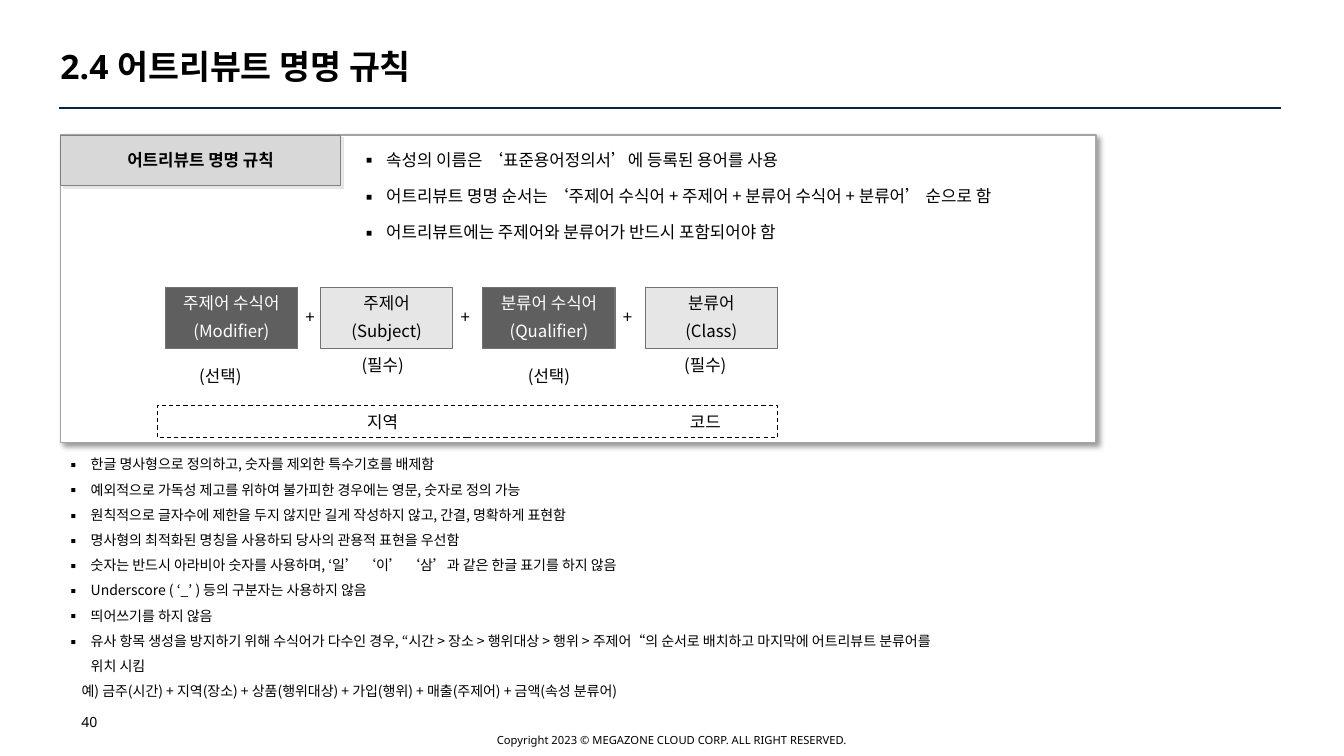
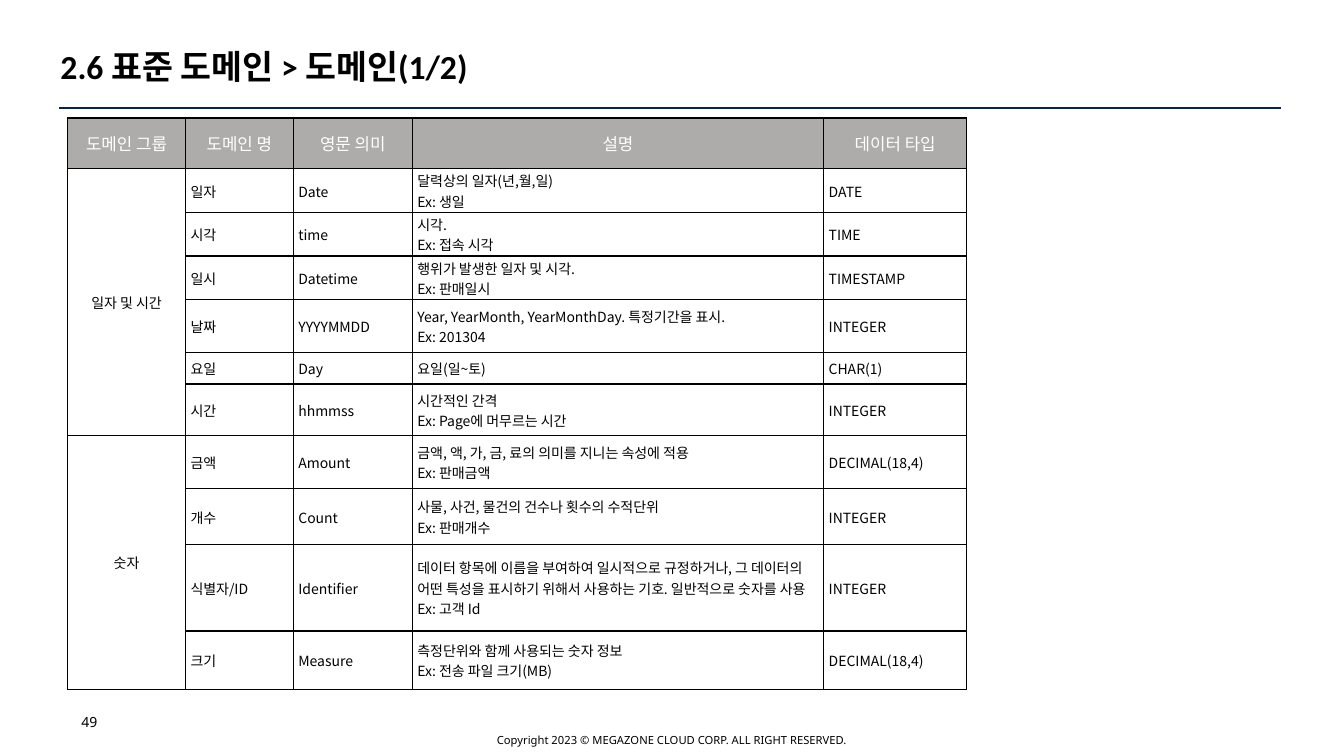
import pptx
import pptx.dml.color
import pptx.enum.dml
import pptx.enum.shapes
import pptx.enum.text
import pptx.oxml
import pptx.oxml.ns
import pptx.util
from pptx.util import Inches

COLORS = {
    "text": "000000", "white": "FFFFFF", "rule": "0A2342",
    "panel_line": "A5A5A5", "label": "D8D8D8", "label_line": "808080",
    "label_shadow": "E7E6E6", "dark": "5F5F5F", "light": "E7E6E6",
    "term_line": "727272", "header": "AEABAB",
}
KOREAN = "Noto Sans CJK KR"
LATIN = "Noto Sans"
COPYRIGHT = "Copyright 2023 © MEGAZONE CLOUD CORP. ALL RIGHT RESERVED."
ALIGN = pptx.enum.text.PP_ALIGN
ANCHOR = pptx.enum.text.MSO_ANCHOR

PANEL_RULES = [
    "속성의 이름은 ‘표준용어정의서’에 등록된 용어를 사용",
    "어트리뷰트 명명 순서는 ‘주제어 수식어 + 주제어 + 분류어 수식어 + 분류어’ 순으로 함",
    "어트리뷰트에는 주제어와 분류어가 반드시 포함되어야 함",
]
DETAIL_RULES = [
    "한글 명사형으로 정의하고, 숫자를 제외한 특수기호를 배제함",
    "예외적으로 가독성 제고를 위하여 불가피한 경우에는 영문, 숫자로 정의 가능",
    "원칙적으로 글자수에 제한을 두지 않지만 길게 작성하지 않고, 간결, 명확하게 표현함",
    "명사형의 최적화된 명칭을 사용하되 당사의 관용적 표현을 우선함",
    "숫자는 반드시 아라비아 숫자를 사용하며, ‘일’ ‘이’ ‘삼’과 같은 한글 표기를 하지 않음",
    "Underscore ( ‘_’ ) 등의 구분자는 사용하지 않음",
    "띄어쓰기를 하지 않음",
    "유사 항목 생성을 방지하기 위해 수식어가 다수인 경우, “시간 > 장소 > 행위대상 > 행위 > "
    "주제어“의 순서로 배치하고 마지막에 어트리뷰트 분류어를 위치 시킴",
]
DETAIL_EXAMPLE = "예) 금주(시간) + 지역(장소) + 상품(행위대상) + 가입(행위) + 매출(주제어) + 금액(속성 분류어)"

# Term text, example, box left and note left, both from the panel's left edge
TERMS = [
    ("주제어 수식어\n(Modifier)", None, 1.04, 1.01),
    ("주제어\n(Subject)", "지역", 2.58, 2.62),
    ("분류어 수식어\n(Qualifier)", None, 4.19, 4.27),
    ("분류어\n(Class)", "코드", 5.8, 5.82),
]

COLUMN_WIDTHS = [1.17, 1.07, 1.18, 4.08, 1.42]
ROW_HEIGHTS = [0.5, 0.44, 0.43, 0.43, 0.53, 0.31, 0.51, 0.53, 0.55, 0.86, 0.58]
TABLE_HEADER = ["도메인 그룹", "도메인 명", "영문 의미", "설명", "데이터 타입"]
DOMAIN_GROUPS = {
    "일자 및 시간": [
        ("일자", "Date", "달력상의 일자(년,월,일)\nEx: 생일", "DATE"),
        ("시각", "time", "시각.\nEx: 접속 시각", "TIME"),
        ("일시", "Datetime", "행위가 발생한 일자 및 시각.\nEx: 판매일시", "TIMESTAMP"),
        ("날짜", "YYYYMMDD",
         "Year, YearMonth, YearMonthDay. 특정기간을 표시.\nEx: 201304", "INTEGER"),
        ("요일", "Day", "요일(일~토)", "CHAR(1)"),
        ("시간", "hhmmss", "시간적인 간격\nEx: Page에 머무르는 시간", "INTEGER"),
    ],
    "숫자": [
        ("금액", "Amount", "금액, 액, 가, 금, 료의 의미를 지니는 속성에 적용\nEx: 판매금액",
         "DECIMAL(18,4)"),
        ("개수", "Count", "사물, 사건, 물건의 건수나 횟수의 수적단위\nEx: 판매개수", "INTEGER"),
        ("식별자/ID", "Identifier",
         "데이터 항목에 이름을 부여하여 일시적으로 규정하거나, 그 데이터의 어떤 특성을 "
         "표시하기 위해서 사용하는 기호. 일반적으로 숫자를 사용\nEx: 고객 Id", "INTEGER"),
        ("크기", "Measure", "측정단위와 함께 사용되는 숫자 정보\nEx: 전송 파일 크기(MB)",
         "DECIMAL(18,4)"),
    ],
}


def rgb(name):
    return pptx.dml.color.RGBColor.from_string(COLORS[name])


def drawing_xml(xml):
    return pptx.oxml.parse_xml(xml.replace(">", f" {pptx.oxml.ns.nsdecls('a')}>", 1))


# Text helpers
def write(frame, text, size, color="text", font=KOREAN, bold=False, align=ALIGN.LEFT,
          anchor=ANCHOR.TOP, spacing=None, before=0, margins=(0.1, 0.05, 0.1, 0.05)):
    """Fill a text frame; spacing is in points, before applies after the first paragraph."""
    frame.text = text
    frame.word_wrap = True
    frame.auto_size = pptx.enum.text.MSO_AUTO_SIZE.NONE
    frame.vertical_anchor = anchor
    (frame.margin_left, frame.margin_top,
     frame.margin_right, frame.margin_bottom) = map(Inches, margins)
    format_paragraphs(frame, size, color, font, bold, align, spacing, before)


def format_paragraphs(frame, size, color, font, bold, align, spacing=None, before=0):
    for index, paragraph in enumerate(frame.paragraphs):
        paragraph.alignment = align
        paragraph.space_before = pptx.util.Pt(before if index else 0)
        if spacing:
            paragraph.line_spacing = pptx.util.Pt(spacing)
        for run in paragraph.runs:
            run.font.size = pptx.util.Pt(size)
            run.font.bold = bold
            run.font.color.rgb = rgb(color)
            run.font.name = font
            latin = run.font._element.find(pptx.oxml.ns.qn("a:latin"))
            latin.addnext(drawing_xml(f'<a:ea typeface="{KOREAN}"></a:ea>'))


def add_text(slide, box, text, size, **style):
    shape = slide.shapes.add_textbox(*map(Inches, box))
    write(shape.text_frame, text, size, **style)
    return shape


def place(shape, box):
    shape.left, shape.top, shape.width, shape.height = map(Inches, box)


def set_bullet(paragraph, bullet=True, indent=0.2):
    properties = paragraph._p.get_or_add_pPr()
    properties.set("marL", str(Inches(indent)))
    properties.set("indent", str(-Inches(indent) if bullet else 0))
    if bullet:
        parts = [f'<a:buClr><a:srgbClr val="{COLORS["text"]}"/></a:buClr>',
                 f'<a:buFont typeface="{LATIN}"></a:buFont>', '<a:buChar char="▪"></a:buChar>']
    else:
        parts = ["<a:buNone></a:buNone>"]
    for part in parts:
        properties.append(drawing_xml(part))


def fill_list(placeholder, box, items, size, spacing, example=None):
    place(placeholder, box)
    write(placeholder.text_frame, "\n".join(items + ([example] if example else [])),
          size, spacing=spacing)
    for index, paragraph in enumerate(placeholder.text_frame.paragraphs):
        if index < len(items):
            set_bullet(paragraph)
        else:
            set_bullet(paragraph, bullet=False, indent=0.11)


# Shape helpers
def add_box(slide, box, fill, line, width=0.75):
    shape = slide.shapes.add_shape(pptx.enum.shapes.MSO_SHAPE.RECTANGLE, *map(Inches, box))
    shape.shadow.inherit = False
    shape.fill.solid()
    shape.fill.fore_color.rgb = rgb(fill)
    shape.line.color.rgb = rgb(line)
    shape.line.width = pptx.util.Pt(width)
    return shape


def add_shadow(shape, color, alpha, blur, distance):
    effects = shape._element.spPr.find(pptx.oxml.ns.qn("a:effectLst"))
    effects.append(drawing_xml(
        f'<a:outerShdw blurRad="{pptx.util.Pt(blur)}" dist="{pptx.util.Pt(distance)}" '
        f'dir="2700000" algn="tl" rotWithShape="0"><a:srgbClr val="{COLORS[color]}">'
        f'<a:alpha val="{alpha * 1000}"/></a:srgbClr></a:outerShdw>'))


# Title, rule and footer of every slide
def add_frame(slide, title, number, title_font=LATIN):
    place(slide.shapes.title, (0.6, 0.48, 12.11, 0.4))
    frame = slide.shapes.title.text_frame
    write(frame, title, 24, font=title_font, bold=True, anchor=ANCHOR.MIDDLE,
          margins=(0, 0, 0, 0))
    frame.paragraphs[0].line_spacing = 0.9
    rule = slide.shapes.add_connector(pptx.enum.shapes.MSO_CONNECTOR.STRAIGHT,
                                      *map(Inches, (0.59, 1.07, 12.71, 1.07)))
    rule.line.color.rgb = rgb("rule")
    rule.line.width = pptx.util.Pt(1.5)
    rule._element.spPr.append(drawing_xml("<a:effectLst></a:effectLst>"))
    add_text(slide, (4.32, 7.19, 4.69, 0.3), COPYRIGHT, 8, font=LATIN,
             align=ALIGN.CENTER, anchor=ANCHOR.MIDDLE)
    add_text(slide, (0.71, 7.03, 3.69, 0.4), str(number), 10, font=LATIN)


# Panel with the naming rule and its formula
def add_rule_panel(slide, box, placeholder):
    left, top, width, height = box
    panel = add_box(slide, box, "white", "panel_line", 1)
    add_shadow(panel, "text", 40, 4, 3)
    slide.shapes.element.insert(2, panel.element)  # behind the lists
    label = add_box(slide, (left, top, 2.78, 0.5), "label", "label_line")
    add_shadow(label, "label_shadow", 100, 0, 2.8)
    write(label.text_frame, "어트리뷰트 명명 규칙", 12, bold=True,
          align=ALIGN.CENTER, anchor=ANCHOR.MIDDLE)
    fill_list(placeholder, (left + 2.93, top - 0.07, 6.94, 1.14), PANEL_RULES, 12, 26)
    add_formula(slide, left, top + 1.51)


def add_formula(slide, left, top):
    term_width, example_top = 1.31, top + 1.17
    example_row = add_box(slide, (left + 0.96, example_top, 6.15, 0.32), "white", "text")
    example_row.line.dash_style = pptx.enum.dml.MSO_LINE.DASH
    for index, (text, example, term_left, note_left) in enumerate(TERMS):
        required = example is not None
        term = add_box(slide, (left + term_left, top, term_width, 0.61),
                       "light" if required else "dark", "term_line")
        write(term.text_frame, text, 12, color="text" if required else "white",
              align=ALIGN.CENTER, spacing=14.5, before=6)
        add_text(slide, (left + note_left, top + 0.62, 1.15, 0.4),
                 "(필수)" if required else "(선택)", 12, align=ALIGN.CENTER,
                 spacing=14.5 if required else 22)
        if required:
            add_text(slide, (left + note_left, example_top, 1.15, 0.32), example, 12,
                     align=ALIGN.CENTER, anchor=ANCHOR.MIDDLE)
        if index < len(TERMS) - 1:
            add_text(slide, (left + term_left + term_width - 0.02, top + 0.14, 0.31, 0.3),
                     "+", 12, spacing=14.5)


# Domain table
def format_cell(cell, text, size=10, color="text", centered=False, fill=None):
    cell.text_frame.text = text
    cell.vertical_anchor = ANCHOR.MIDDLE
    cell.margin_left = Inches(0.01 if centered else 0.05)
    cell.margin_right = cell.margin_top = Inches(0.01)
    cell.margin_bottom = 0
    format_paragraphs(cell.text_frame, size, color, KOREAN, False,
                      ALIGN.CENTER if centered else ALIGN.LEFT)
    if fill:
        cell.fill.solid()
        cell.fill.fore_color.rgb = rgb(fill)
    else:
        cell.fill.background()


def add_borders(cell):
    properties = cell._tc.get_or_add_tcPr()
    for index, side in enumerate("LRTB"):
        properties.insert(index, drawing_xml(
            f'<a:ln{side} w="{pptx.util.Pt(1)}"><a:solidFill>'
            f'<a:srgbClr val="{COLORS["text"]}"/></a:solidFill></a:ln{side}>'))


def add_domain_table(slide, left, top):
    table = slide.shapes.add_table(
        len(ROW_HEIGHTS), len(COLUMN_WIDTHS), Inches(left), Inches(top),
        Inches(sum(COLUMN_WIDTHS)), Inches(sum(ROW_HEIGHTS))).table
    table.first_row = table.horz_banding = False
    for column, width in zip(table.columns, COLUMN_WIDTHS):
        column.width = Inches(width)
    for row, height in zip(table.rows, ROW_HEIGHTS):
        row.height = Inches(height)
    for column, text in enumerate(TABLE_HEADER):
        format_cell(table.cell(0, column), text, 12, "white", True, "header")
    row = 1
    for group, domains in DOMAIN_GROUPS.items():
        table.cell(row, 0).merge(table.cell(row + len(domains) - 1, 0))
        for index, domain in enumerate(domains):
            format_cell(table.cell(row + index, 0), "" if index else group, centered=True)
            for column, text in enumerate(domain, 1):
                format_cell(table.cell(row + index, column), text)
        row += len(domains)
    for cell in table.iter_cells():
        add_borders(cell)


# Slides
def build_naming_slide(presentation):
    slide = presentation.slides.add_slide(presentation.slide_layouts.get_by_name("Two Content"))
    add_frame(slide, "2.4 어트리뷰트 명명 규칙", 40)
    add_rule_panel(slide, (0.6, 1.34, 10.27, 3.05), slide.placeholders[1])
    fill_list(slide.placeholders[2], (0.6, 4.39, 8.75, 2.6), DETAIL_RULES, 10, 18,
              DETAIL_EXAMPLE)


def build_domain_slide(presentation):
    slide = presentation.slides.add_slide(presentation.slide_layouts.get_by_name("Title Only"))
    add_frame(slide, "2.6 표준 도메인 > 도메인(1/2)", 49, "Calibri")
    add_domain_table(slide, 0.67, 1.17)


def main():
    presentation = pptx.Presentation()
    presentation.slide_width = Inches(13.33)
    presentation.slide_height = Inches(7.5)
    build_naming_slide(presentation)
    build_domain_slide(presentation)
    presentation.save("out.pptx")


if __name__ == "__main__":
    main()
